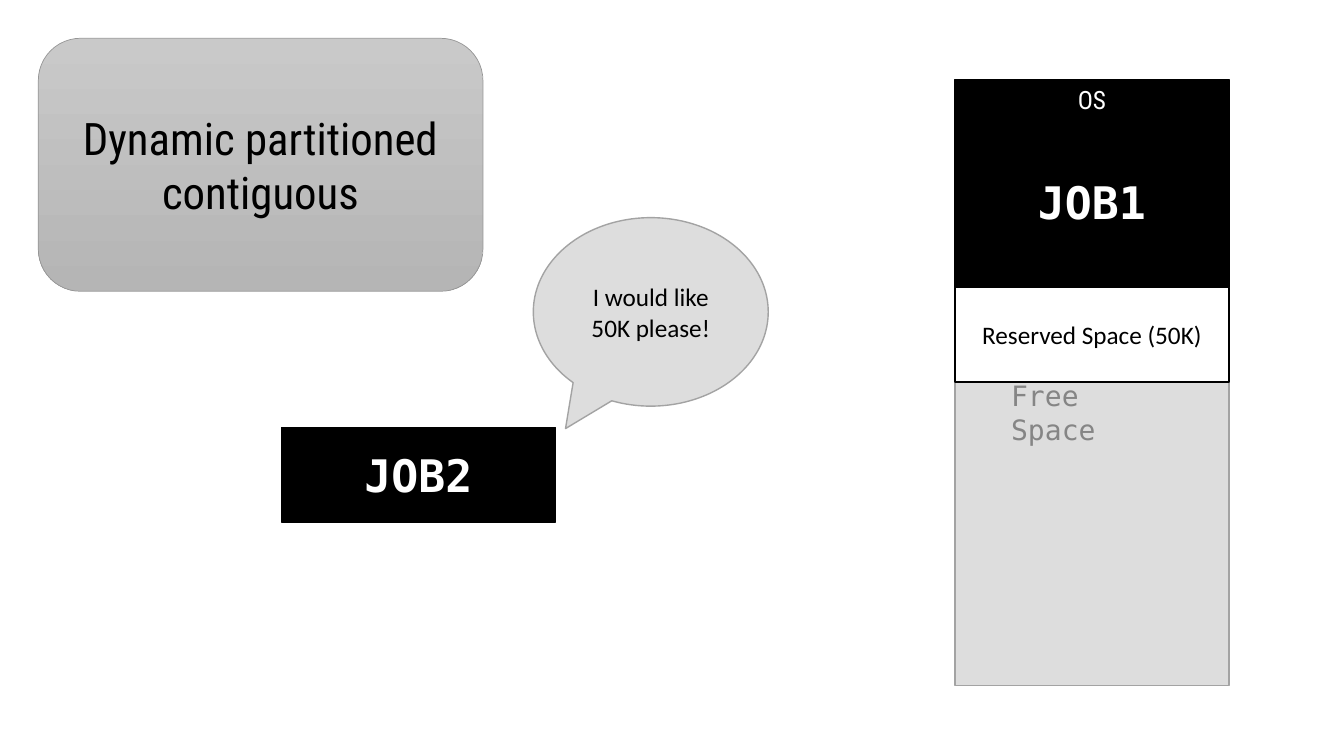
from pptx import Presentation
from pptx import util as u
from pptx.dml.color import RGBColor
from pptx.enum import shapes, text

PX = 9144  # EMU per px, 100 px to the inch
SIZE = (1333, 750)

THEME = {
    "title": dict(fill=("C9C9C9", "B5B5B5"), line="969696", width=0.5,
                  font=dict(name="Roboto Condensed", size=32, color="000000")),
    "free": dict(fill="DDDDDD", line="A3A3A3", width=1,
                 font=dict(name="DejaVu Sans Mono", size=20, color="858585")),
    "os": dict(fill="000000", line="000000", width=1,
               font=dict(name="Roboto Condensed", size=18, color="FFFFFF")),
    "job": dict(fill="000000", line="000000", width=1,
                font=dict(name="DejaVu Sans Mono", size=32, color="FFFFFF", bold=True)),
    "speech": dict(fill="DDDDDD", line="A3A3A3", width=1,
                   font=dict(name="Calibri", size=18, color="000000")),
    "space": dict(fill="FFFFFF", line="000000", width=1,
                  font=dict(name="Calibri", size=18, color="000000")),
}

KIND = shapes.MSO_SHAPE
WIDE, TALL = 272, 94     # a job's block
LEFT, SPLIT = 947, 285   # memory column, and where JOB1 ends

# style, shape, words, (left, top, width, height)
PARTS = [
    ("title", KIND.ROUNDED_RECTANGLE, "Dynamic partitioned contiguous", (38, 38, 441, 251)),
    ("free", KIND.RECTANGLE, "", (LEFT, 106, WIDE, 574)),
    ("os", KIND.RECTANGLE, "OS", (LEFT, 79, WIDE, 40)),
    ("job", KIND.RECTANGLE, "JOB1", (LEFT, 114, WIDE, SPLIT - 114)),
    ("job", KIND.RECTANGLE, "JOB2", (279, 424, WIDE, TALL)),
    ("free", None, "Free Space", (993, 371, 179, 44)),
    ("speech", KIND.OVAL_CALLOUT, "I would like 50K please!", (529, 216, 233, 187)),
    ("space", KIND.RECTANGLE, "Reserved Space (50K)", (LEFT, SPLIT, WIDE, TALL)),
]
TAIL = (-0.363, 0.619)   # callout tip, as shares of its width and height


def write(shape, words, font, **para):
    frame = shape.text_frame
    frame.word_wrap = True
    line = frame.paragraphs[0]
    for key, value in para.items():
        setattr(line, key, value)
    run = line.add_run()
    run.text = words
    for key, value in font.items():
        if key == "color":
            run.font.color.rgb = RGBColor.from_string(value)
        else:
            setattr(run.font, key, u.Pt(value) if key == "size" else value)


def paint(shape, style):
    shape.shadow.inherit = False
    fill = style["fill"]
    if isinstance(fill, tuple):
        shape.fill.gradient()
        shape.fill.gradient_angle = 270
        for stop, color in zip(shape.fill.gradient_stops, fill):
            stop.color.rgb = RGBColor.from_string(color)
    else:
        shape.fill.solid()
        shape.fill.fore_color.rgb = RGBColor.from_string(fill)
    shape.line.color.rgb = RGBColor.from_string(style["line"])
    shape.line.width = u.Pt(style["width"])


def main():
    deck = Presentation()
    deck.slide_width, deck.slide_height = (n * PX for n in SIZE)
    slide = deck.slides.add_slide(deck.slide_layouts[6])
    for name, kind, words, box in PARTS:
        style = THEME[name]
        place = [n * PX for n in box]
        if kind is None:
            label = slide.shapes.add_textbox(*place)
            write(label, words, style["font"])
            label.text_frame.auto_size = text.MSO_AUTO_SIZE.SHAPE_TO_FIT_TEXT
            continue
        shape = slide.shapes.add_shape(kind, *place)
        paint(shape, style)
        if kind == KIND.OVAL_CALLOUT:
            for i, share in enumerate(TAIL):
                shape.adjustments[i] = share
        if words:
            shape.text_frame.vertical_anchor = text.MSO_ANCHOR.MIDDLE
            write(shape, words, style["font"], alignment=text.PP_ALIGN.CENTER)
    deck.save("out.pptx")


if __name__ == "__main__":
    main()
